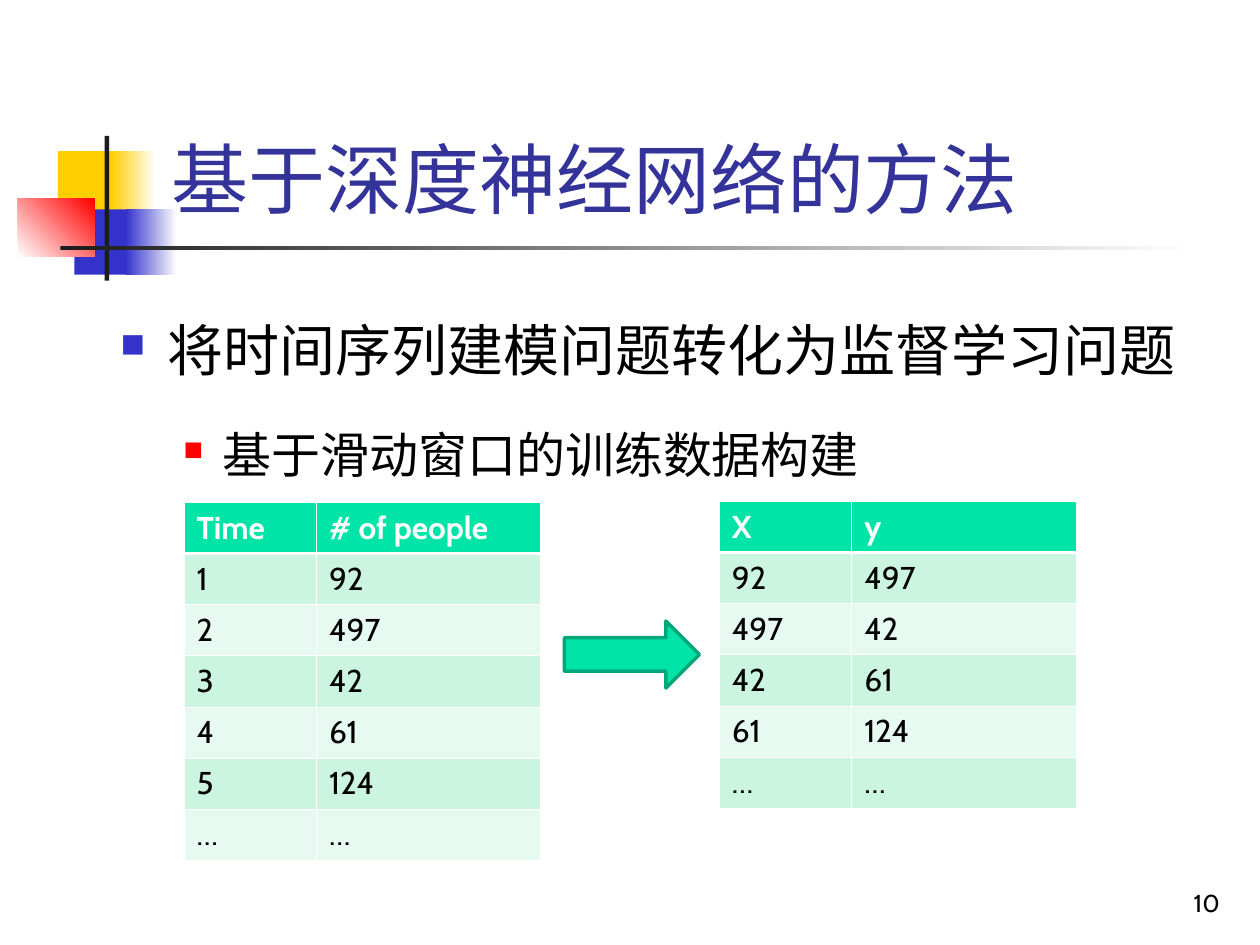
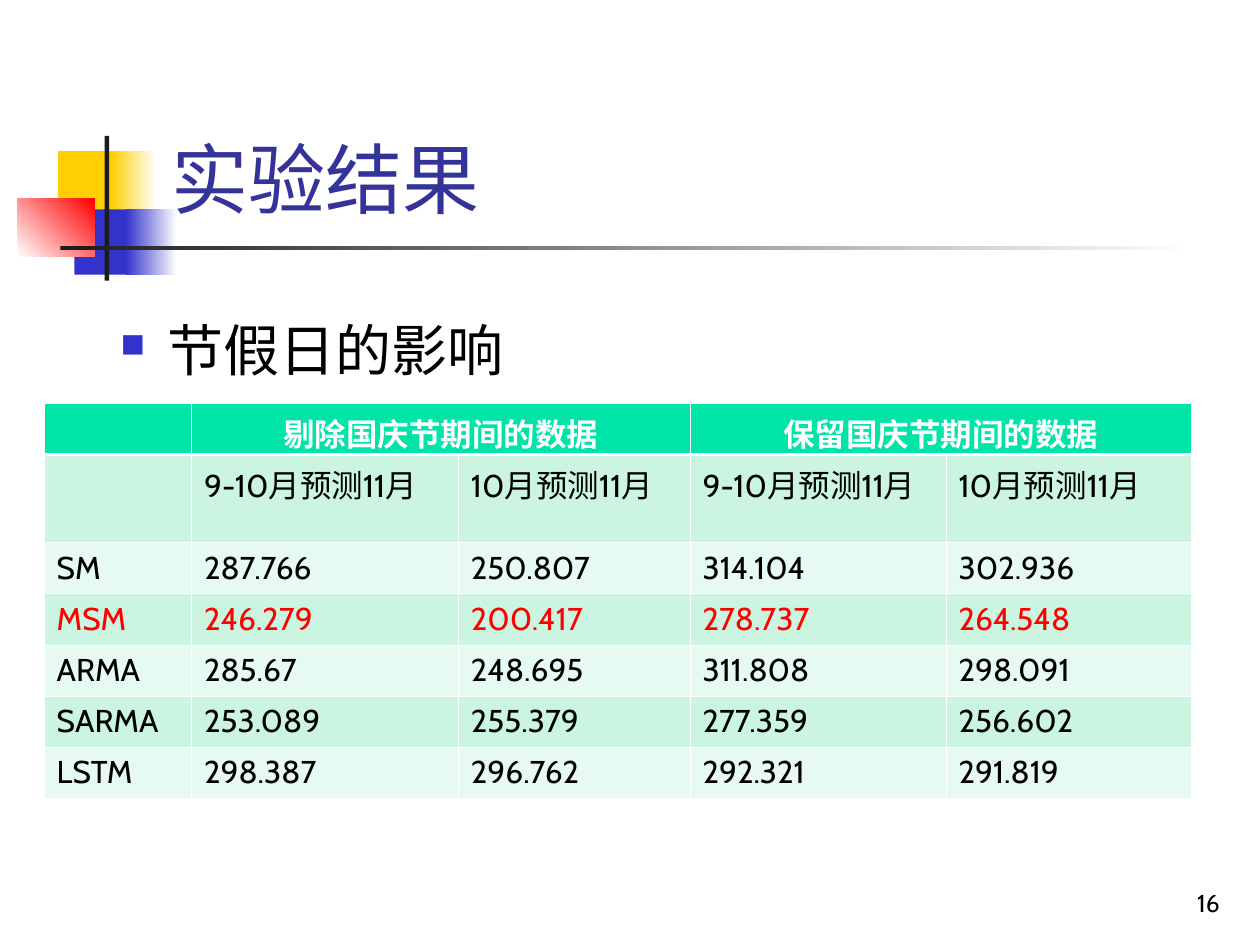
from dataclasses import dataclass
from typing import Optional

import pptx
import pptx.dml.color
import pptx.enum.shapes
import pptx.enum.text
import pptx.oxml
import pptx.oxml.ns
import pptx.util
from pptx.util import Cm

SHAPE = pptx.enum.shapes.MSO_SHAPE
ALIGN = pptx.enum.text.PP_ALIGN
ANCHOR = pptx.enum.text.MSO_ANCHOR

# Shared style
FONT = "Cabin"
BODY_FONT = "Times New Roman"
WHITE, BLACK, RED = "FFFFFF", "000000", "FF0000"
TITLE_BLUE, BLUE, YELLOW, CHARCOAL = "333399", "3333CC", "FFCF01", "1C1C1C"
GREEN, DARK_GREEN = "00E4A8", "00A77A"
BANDS = ("CBF5E1", "E7FAF1")
ROW_HEIGHT = 1.03
THIN, THICK = 0.45, 1.47


@dataclass(frozen=True)
class Box:
    """Position and size in centimetres."""
    left: float
    top: float
    width: float
    height: float

    def lengths(self) -> tuple:
        return Cm(self.left), Cm(self.top), Cm(self.width), Cm(self.height)


@dataclass(frozen=True)
class Ornament:
    box: Box
    start: str
    end: Optional[str] = None
    angle: float = 0


@dataclass(frozen=True)
class BulletStyle:
    size: int
    margin: float
    hanging: float
    space_before: int
    color: str
    percent: int


@dataclass(frozen=True)
class TableSpec:
    left: float
    top: float
    columns: tuple
    rows: tuple
    heights: dict
    merges: tuple = ()
    red_row: Optional[int] = None


ORNAMENTS = (
    Ornament(Box(1.17, 3.05, 1.22, 1.32), YELLOW),
    Ornament(Box(2.24, 3.05, 0.91, 1.32), YELLOW, WHITE),
    Ornament(Box(1.5, 4.22, 1.17, 1.32), BLUE),
    Ornament(Box(2.54, 4.22, 1.02, 1.32), BLUE, WHITE),
    Ornament(Box(0.36, 4.01, 1.55, 1.17), WHITE, RED, 45),
    Ornament(Box(2.11, 2.74, 0.09, 2.92), CHARCOAL),
    Ornament(Box(1.22, 4.95, 22.86, 0.09), CHARCOAL, WHITE),
)
BULLETS = (
    BulletStyle(32, 0.95, 0.95, 0, BLUE, 60),
    BulletStyle(28, 2.06, 0.79, 7, RED, 55),
)
TITLE_BOX = Box(3.2, 0.58, 21.64, 4.06)
NUMBER_BOX = Box(19.56, 17.35, 5.28, 1.27)
BODY_BOX = Box(2.18, 5.56, 23.22, 13.11)
ARROW_BOX = Box(11.38, 12.52, 2.72, 1.35)

# Table contents
PAIR_COLUMNS = (2.67, 4.52)
TIME_SERIES = TableSpec(3.71, 10.13, PAIR_COLUMNS, (
    ("Time", "# of people"),
    ("1", "92"), ("2", "497"), ("3", "42"), ("4", "61"), ("5", "124"), ("…", "…"),
), {})
TRAINING_PAIRS = TableSpec(14.5, 10.11, PAIR_COLUMNS, (
    ("X", "y"),
    ("92", "497"), ("497", "42"), ("42", "61"), ("61", "124"), ("…", "…"),
), {})
FORECASTS = ("9-10月预测11月", "10月预测11月")
RESULTS = TableSpec(0.89, 8.13, (2.97, 5.38, 4.67, 5.16, 4.95), (
    ("", "剔除国庆节期间的数据", "", "保留国庆节期间的数据", ""),
    ("", *FORECASTS, *FORECASTS),
    ("SM", "287.766", "250.807", "314.104", "302.936"),
    ("MSM", "246.279", "200.417", "278.737", "264.548"),
    ("ARMA", "285.67", "248.695", "311.808", "298.091"),
    ("SARMA", "253.089", "255.379", "277.359", "256.602"),
    ("LSTM", "298.387", "296.762", "292.321", "291.819"),
), {1: 1.78}, merges=((1, 2), (3, 4)), red_row=3)


def rgb(color: str) -> pptx.dml.color.RGBColor:
    return pptx.dml.color.RGBColor.from_string(color)


def set_font(paragraph, size: float, color: str, name: str = FONT, bold: bool = False) -> None:
    font = paragraph.font
    font.name, font.size, font.bold = name, pptx.util.Pt(size), bold
    font.color.rgb = rgb(color)


def add_filled_shape(slide, kind, box: Box, color: str):
    shape = slide.shapes.add_shape(kind, *box.lengths())
    shape.shadow.inherit = False
    shape.fill.solid()
    shape.fill.fore_color.rgb = rgb(color)
    shape.line.fill.background()
    return shape


def add_ornament(slide, ornament: Ornament) -> None:
    shape = add_filled_shape(slide, SHAPE.RECTANGLE, ornament.box, ornament.start)
    if ornament.end:
        shape.fill.gradient()
        shape.fill.gradient_angle = ornament.angle
        for stop, color in zip(shape.fill.gradient_stops, (ornament.start, ornament.end)):
            stop.color.rgb = rgb(color)


def add_text_frame(slide, box: Box, anchor):
    frame = slide.shapes.add_textbox(*box.lengths()).text_frame
    frame.word_wrap = True
    frame.vertical_anchor = anchor
    return frame


def add_line_of_text(slide, box: Box, text: str, size: float, color: str, align) -> None:
    paragraph = add_text_frame(slide, box, ANCHOR.BOTTOM).paragraphs[0]
    paragraph.text = text
    paragraph.alignment = align
    set_font(paragraph, size, color)


def add_bullet(paragraph, style: BulletStyle) -> None:
    properties = paragraph._p.get_or_add_pPr()
    properties.set("marL", str(Cm(style.margin)))
    properties.set("indent", str(-Cm(style.hanging)))
    namespace = pptx.oxml.ns.nsdecls("a")
    for xml in (
        f'<a:buClr {namespace}><a:srgbClr val="{style.color}"/></a:buClr>',
        f'<a:buSzPct {namespace} val="{style.percent * 1000}"/>',
        f'<a:buChar {namespace} char="■"/>',
    ):
        properties.append(pptx.oxml.parse_xml(xml))


def add_body(slide, lines: tuple) -> None:
    frame = add_text_frame(slide, BODY_BOX, ANCHOR.TOP)
    for level, (text, style) in enumerate(zip(lines, BULLETS)):
        paragraph = frame.add_paragraph() if level else frame.paragraphs[0]
        paragraph.text = text
        paragraph.level = level
        paragraph.alignment = ALIGN.JUSTIFY
        paragraph.line_spacing = 1.5
        paragraph.space_before = pptx.util.Pt(style.space_before)
        add_bullet(paragraph, style)
        set_font(paragraph, style.size, BLACK, BODY_FONT)


def set_borders(cell, top: float, bottom: float) -> None:
    properties = cell._tc.get_or_add_tcPr()
    for side, width in (("L", THIN), ("R", THIN), ("T", top), ("B", bottom)):
        properties.append(pptx.oxml.parse_xml(
            f'<a:ln{side} {pptx.oxml.ns.nsdecls("a")} w="{pptx.util.Pt(width)}">'
            f'<a:solidFill><a:srgbClr val="{WHITE}"/></a:solidFill></a:ln{side}>'))


def style_cell(cell, row: int, color: str) -> None:
    set_borders(cell, THICK if row == 1 else THIN, THIN if row else THICK)
    cell.fill.solid()
    cell.fill.fore_color.rgb = rgb(BANDS[(row - 1) % 2] if row else GREEN)
    set_font(cell.text_frame.paragraphs[0], 18, color, bold=row == 0)


def add_data_table(slide, spec: TableSpec) -> None:
    heights = [spec.heights.get(row, ROW_HEIGHT) for row in range(len(spec.rows))]
    box = Box(spec.left, spec.top, sum(spec.columns), sum(heights))
    table = slide.shapes.add_table(len(spec.rows), len(spec.columns), *box.lengths()).table
    table.horz_banding = False
    for column, width in zip(table.columns, spec.columns):
        column.width = Cm(width)
    for index, (values, height) in enumerate(zip(spec.rows, heights)):
        table.rows[index].height = Cm(height)
        color = WHITE if index == 0 else RED if index == spec.red_row else BLACK
        for cell, value in zip(table.rows[index].cells, values):
            cell.text = value
            style_cell(cell, index, color)
    for first, last in spec.merges:
        table.cell(0, first).merge(table.cell(0, last))
        table.cell(0, first).text_frame.paragraphs[0].alignment = ALIGN.CENTER


def add_base_slide(presentation, title: str, number: int, lines: tuple):
    slide = presentation.slides.add_slide(presentation.slide_layouts[6])
    for ornament in ORNAMENTS:
        add_ornament(slide, ornament)
    add_line_of_text(slide, TITLE_BOX, title, 44, TITLE_BLUE, ALIGN.LEFT)
    add_line_of_text(slide, NUMBER_BOX, str(number), 14, BLACK, ALIGN.RIGHT)
    add_body(slide, lines)
    return slide


def main() -> None:
    presentation = pptx.Presentation()
    presentation.slide_width, presentation.slide_height = Cm(25.4), Cm(19.05)

    # Sliding window: from time series to training pairs
    slide = add_base_slide(presentation, "基于深度神经网络的方法", 10,
                           ("将时间序列建模问题转化为监督学习问题", "基于滑动窗口的训练数据构建"))
    add_data_table(slide, TIME_SERIES)
    add_data_table(slide, TRAINING_PAIRS)
    arrow = add_filled_shape(slide, SHAPE.RIGHT_ARROW, ARROW_BOX, GREEN)
    arrow.line.color.rgb = rgb(DARK_GREEN)
    arrow.line.width = pptx.util.Pt(2)

    # Experiment results
    slide = add_base_slide(presentation, "实验结果", 16, ("节假日的影响",))
    add_data_table(slide, RESULTS)

    presentation.save("out.pptx")


if __name__ == "__main__":
    main()
